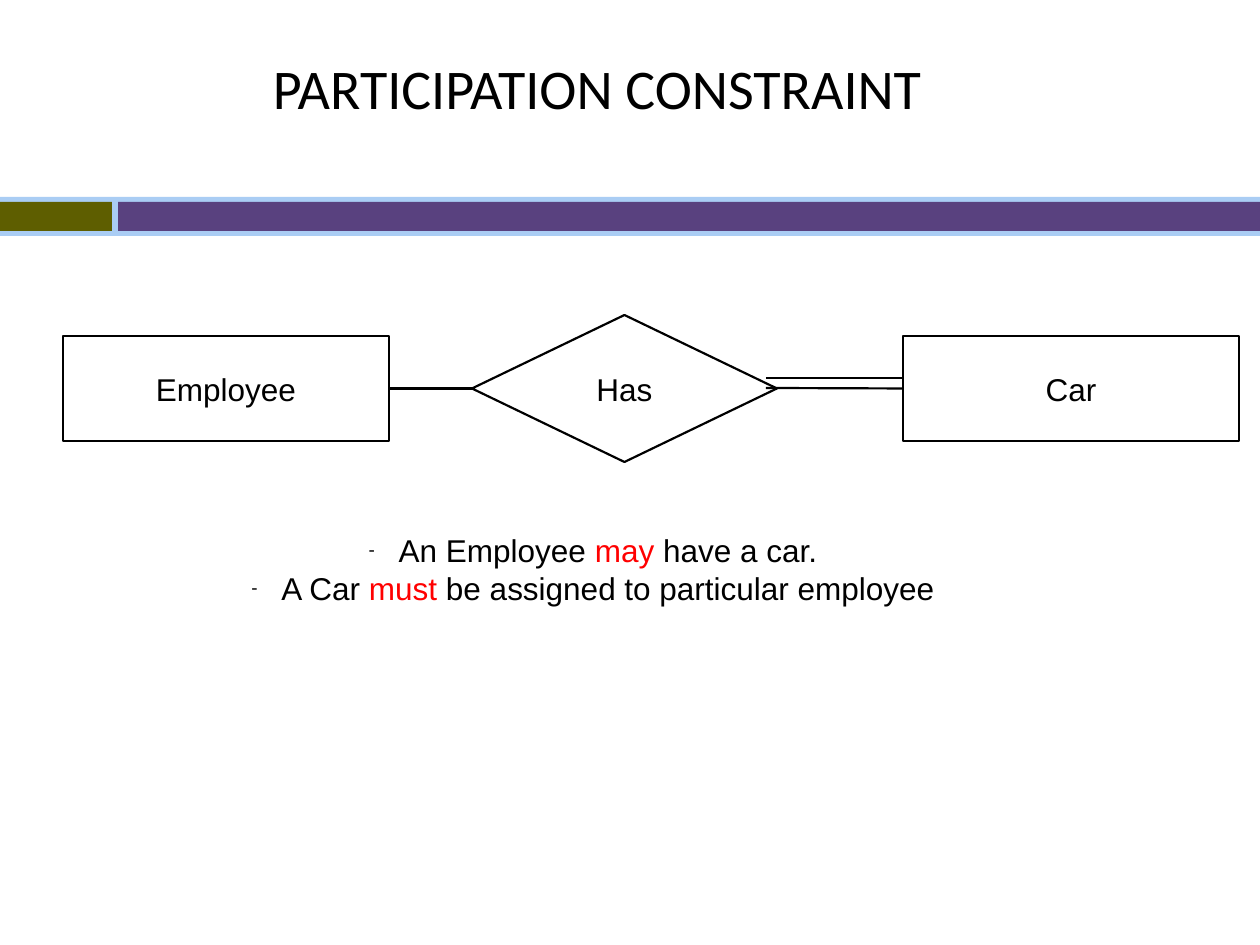
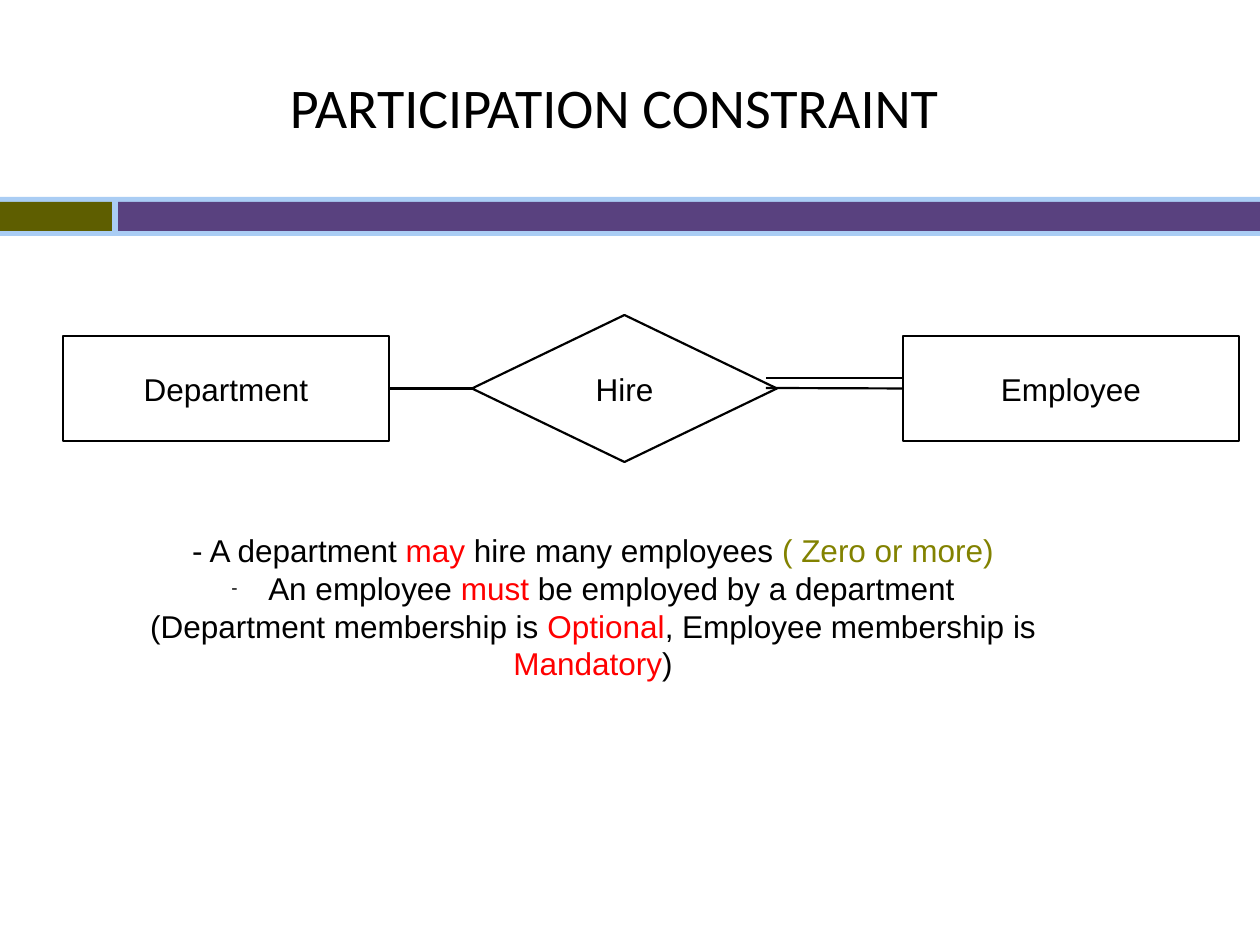
"""Build two slides on participation constraints in entity diagrams."""
from lxml import etree
from pptx import Presentation, util as u
from pptx.dml.color import RGBColor
from pptx.enum import shapes, text
from pptx.oxml.ns import qn

BLACK, RED, OLIVE = "000000", "FF0000", "828200"
TITLE = "PARTICIPATION CONSTRAINT"
SLIDES = [
    {
        "title": (273, 49),
        "names": ("Employee", "Has", "Car"),
        "notes": (525, 88, [
            (True, [("An Employee ", BLACK), ("may", RED),
                    (" have a car.", BLACK)]),
            (True, [("A Car ", BLACK), ("must", RED),
                    (" be assigned to particular employee", BLACK)]),
        ]),
    },
    {
        "title": (290, 68),
        "names": ("Department", "Hire", "Employee"),
        "notes": (525, 164, [
            (False, [("- A department ", BLACK), ("may", RED),
                     (" hire many employees ", BLACK),
                     ("( Zero or more)", OLIVE)]),
            (True, [(" An employee ", BLACK), ("must", RED),
                    (" be employed by a department", BLACK)]),
            (False, [("(Department membership is ", BLACK),
                     ("Optional", RED),
                     (", Employee membership is ", BLACK),
                     ("Mandatory", RED), (")", BLACK)]),
        ]),
    },
]
BANDS = [
    ((0, 197, 1260, 39), "AACDF4"),
    ((0, 202, 112, 29), "5E5E00"),
    ((118, 202, 1142, 29), "59417F"),
]
RECT = shapes.MSO_SHAPE.RECTANGLE
NODES = [
    (RECT, (63, 336, 326, 105)),
    (shapes.MSO_SHAPE.FLOWCHART_DECISION, (472, 315, 305, 147)),
    (RECT, (903, 336, 336, 105)),
]
INSET = (13, 6, 13, 6)


def px(n):
    return u.Emu(round(n * 914400 / 126))


def rgb(code):
    return RGBColor.from_string(code)


def style(para, size, face, lead, color=BLACK):
    para.line_spacing = u.Pt(lead)
    for run in para.runs:
        run.font.size, run.font.name = u.Pt(size), face
        run.font.color.rgb = rgb(color)


def pad(frame, inset):
    (frame.margin_left, frame.margin_top,
     frame.margin_right, frame.margin_bottom) = map(px, inset)


def add_box(slide, kind, at, fill=None):
    box = slide.shapes.add_shape(kind, *map(px, at))
    box.shadow.inherit = False
    if fill:
        box.fill.solid()
        box.fill.fore_color.rgb = rgb(fill)
        box.line.fill.background()
    else:
        box.fill.background()
        box.line.color.rgb, box.line.width = rgb(BLACK), u.Pt(1.25)
    return box


def add_node(slide, kind, at, name):
    box = add_box(slide, kind, at)
    frame = box.text_frame
    frame.text, frame.word_wrap = name, False
    frame.vertical_anchor = text.MSO_ANCHOR.MIDDLE
    pad(frame, INSET)
    para = frame.paragraphs[0]
    para.alignment = text.PP_ALIGN.CENTER
    style(para, 18, "Arial", 21.6)
    return box


def add_line(slide, *ends):
    line = slide.shapes.add_connector(
        shapes.MSO_CONNECTOR.STRAIGHT, *map(px, ends))
    line.line.color.rgb, line.line.width = rgb(BLACK), u.Pt(1.25)
    etree.SubElement(line._element.spPr, qn("a:effectLst"))
    return line


def add_text(slide, at, inset):
    box = slide.shapes.add_textbox(*map(px, at))
    frame = box.text_frame
    frame.word_wrap = True
    pad(frame, inset)
    return frame


def add_dash(para):
    props = para._p.get_or_add_pPr()
    props.set("marL", str(px(30)))
    props.set("indent", str(px(-30)))
    tint = etree.SubElement(props, qn("a:buClr"))
    etree.SubElement(tint, qn("a:srgbClr"), val=BLACK)
    etree.SubElement(props, qn("a:buSzPct"), val="60000")
    etree.SubElement(props, qn("a:buFont"), typeface="Arial")
    etree.SubElement(props, qn("a:buChar"), char="-")


def add_notes(slide, top, high, lines):
    frame = add_text(slide, (84, top, 1018, high), INSET)
    frame.auto_size = text.MSO_AUTO_SIZE.SHAPE_TO_FIT_TEXT
    for i, (dash, parts) in enumerate(lines):
        para = frame.add_paragraph() if i else frame.paragraphs[0]
        if dash:
            add_dash(para)
        para.alignment = text.PP_ALIGN.CENTER
        for words, _ in parts:
            para.add_run().text = words
        style(para, 18, "Arial", 21.6)
        for run, (_, color) in zip(para.runs, parts):
            run.font.color.rgb = rgb(color)


def add_graph(slide, names):
    left, mid, right = [add_node(slide, kind, at, name)
                        for (kind, at), name in zip(NODES, names)]
    add_line(slide, 389, 336, 389, 441)
    link = add_line(slide, 389, 388, 472, 388)
    link.begin_connect(left, 3)
    link.end_connect(mid, 1)
    add_line(slide, 766, 378, 903, 378)
    add_line(slide, 766, 388, 903, 389).end_connect(right, 1)


def add_title(slide, x, y):
    frame = add_text(slide, (x, y, 1045, 130), (0, 0, 0, 0))
    frame.text = TITLE
    style(frame.paragraphs[0], 32, "Calibri", 41)


def main():
    deck = Presentation()
    deck.slide_width, deck.slide_height = px(1260), px(945)
    for data in SLIDES:
        slide = deck.slides.add_slide(deck.slide_layouts[6])
        for at, fill in BANDS:
            add_box(slide, RECT, at, fill)
        add_title(slide, *data["title"])
        add_notes(slide, *data["notes"])
        add_graph(slide, data["names"])
    deck.save("out.pptx")


if __name__ == "__main__":
    main()
